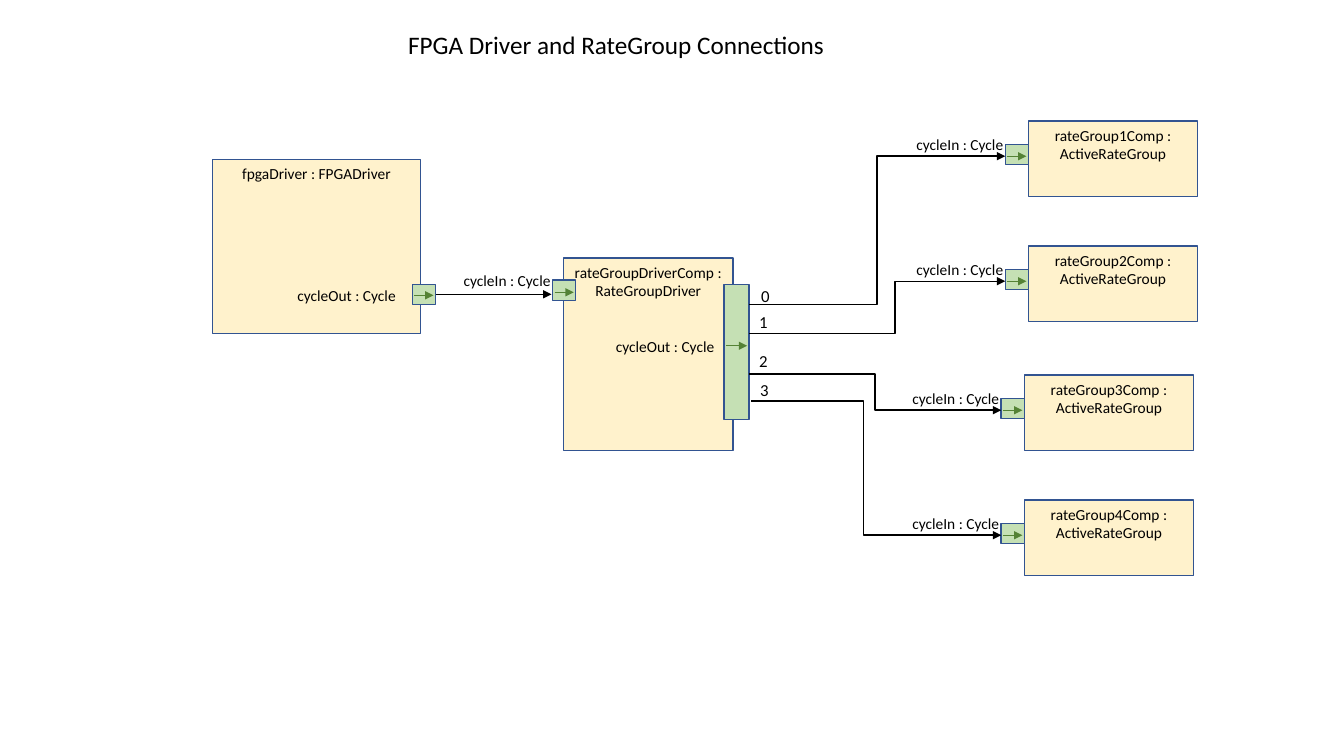
from lxml.etree import SubElement
from pptx import Presentation
from pptx.dml.color import RGBColor
from pptx.enum.shapes import MSO_CONNECTOR as Route, MSO_SHAPE as Preset
from pptx.enum.text import MSO_ANCHOR as Anchor, MSO_AUTO_SIZE as Fit, PP_ALIGN as Align
from pptx.oxml.ns import qn
from pptx.util import Inches, Pt

COLORS = {"component": "FFF2CC", "port": "C5E0B4", "outline": "325491",
          "port_arrow": "548235", "ink": "000000"}
COLUMNS, ROWS = 133.3, 75

deck = Presentation()
deck.slide_width, deck.slide_height = Inches(13.33), Inches(7.5)
column, row = deck.slide_width / COLUMNS, deck.slide_height / ROWS
slide = deck.slides.add_slide(deck.slide_layouts[6])
shapes = slide.shapes


def write(frame, text, size, align, frame_format):
    for attribute, value in frame_format.items():
        setattr(frame, attribute, value)
    paragraph = frame.paragraphs[0]
    paragraph.alignment = align
    run = paragraph.add_run()
    run.text = text
    font_format = {"name": "Calibri", "size": Pt(size)}
    for attribute, value in font_format.items():
        setattr(run.font, attribute, value)
    run.font.color.rgb = RGBColor.from_string(COLORS["ink"])


def draw_arrow(route, start, end, color, weight):
    arrow = shapes.add_connector(route, round(start[0] * column), round(start[1] * row),
                                 round(end[0] * column), round(end[1] * row))
    arrow.line.color.rgb = RGBColor.from_string(COLORS[color])
    arrow.line.width = Pt(weight)
    SubElement(arrow.line._get_or_add_ln(), qn("a:tailEnd"), type="triangle")
    SubElement(arrow._element.spPr, qn("a:effectLst"))
    return arrow


rate_groups = [(102, 12), (102, 24.4), (101.6, 37.2), (101.6, 49.6)]
components = [("fpgaDriver : FPGADriver", 21.1, 15.8, 20.6, 17.3),
              ("rateGroupDriverComp : RateGroupDriver", 55.9, 25.6, 16.8, 19.1)]
ports = [(40.9, 28.2, 2.3, 2, 29.3), (54.8, 27.8, 2.3, 2, 29), (71.8, 28.2, 2.5, 13.4, 34.3)]
labels = [("FPGA Driver and RateGroup Connections", 18, 39.5, 2.4, 43.8, 4),
          ("cycleOut : Cycle", 11, 28.5, 27.9, 11.9, 2.9),
          ("cycleIn : Cycle", 11, 45, 26.4, 10.7, 2.9),
          ("cycleOut : Cycle", 11, 60.1, 32.9, 11.9, 2.9)]

for number, (left, top) in enumerate(rate_groups, 1):
    components.append((f"rateGroup{number}Comp : ActiveRateGroup", left, top, 16.8, 7.5))
    ports.append((left - 2.3, top + 2.35, 2.3, 2, top + 3.5))
    labels.append(("cycleIn : Cycle", 11, left - 12.1, top + 0.9, 10.7, 2.9))

for index, (left, top) in enumerate([(74.5, 27.9), (74.3, 30.4), (74.3, 34.3), (74.4, 37.2)]):
    labels.append((str(index), 12, left, top, 2.7, 3))

boxes = [("component", name, *place) for name, *place in components]
boxes += [("port", "", *place) for *place, arrow_row in ports]
drawn_ports = []
for role, name, left, top, width, height in boxes:
    box = shapes.add_shape(Preset.RECTANGLE, round(left * column), round(top * row),
                           round(width * column), round(height * row))
    box.shadow.inherit = False
    box.fill.solid()
    box.fill.fore_color.rgb = RGBColor.from_string(COLORS[role])
    box.line.color.rgb = RGBColor.from_string(COLORS["outline"])
    box.line.width = Pt(1)
    if name:
        write(box.text_frame, name, 11, Align.CENTER,
              {"word_wrap": True, "vertical_anchor": Anchor.TOP})
    else:
        drawn_ports.append(box)

for left, top, width, height, arrow_row in ports:
    draw_arrow(Route.STRAIGHT, (left + 0.2, arrow_row), (left + width - 0.2, arrow_row),
               "port_arrow", 0.5)

cycle = draw_arrow(Route.STRAIGHT, (43.2, 29.2), (54.7, 29.2), "ink", 0.5)
cycle.begin_connect(drawn_ports[0], 3)

outputs = [(74.3, 30.2, 0.5), (74.3, 33.1, 0.57), (74.3, 37.1, 0.5), (74.5, 39.8, 0.45)]
for (left, top, bend), (group_left, group_top) in zip(outputs, rate_groups):
    signal = draw_arrow(Route.ELBOW, (left, top), (group_left - 2.3, group_top + 3.5), "ink", 1)
    guides = signal._element.spPr.find(qn("a:prstGeom")).get_or_add_avLst()
    SubElement(guides, qn("a:gd"), name="adj1", fmla=f"val {round(bend * 100000)}")

for text, size, left, top, width, height in labels:
    label = shapes.add_textbox(round(left * column), round(top * row),
                               round(width * column), round(height * row))
    write(label.text_frame, text, size, Align.LEFT,
          {"word_wrap": text.isdigit(), "auto_size": Fit.SHAPE_TO_FIT_TEXT})

deck.save("out.pptx")
